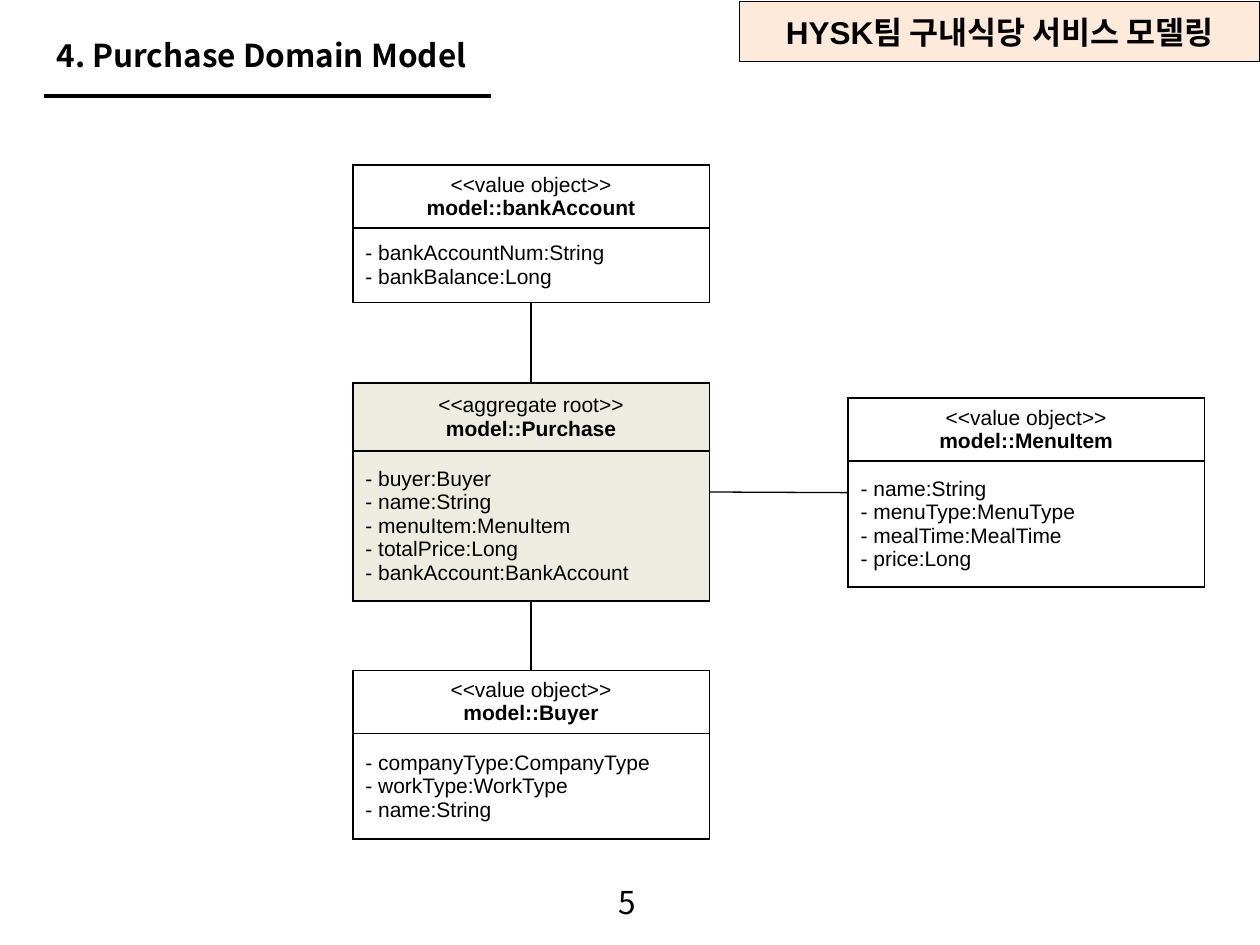
from lxml import etree
from pptx import Presentation
from pptx.dml.color import RGBColor
from pptx.enum import shapes, text
from pptx.oxml.ns import qn
from pptx.util import Inches, Pt

COLORS = {"ink": "000000", "root": "EEECE1", "banner": "FDEADA"}
SANS, KOREAN = "Arial", "Noto Sans CJK KR"
CENTER, LEFT = text.PP_ALIGN.CENTER, text.PP_ALIGN.LEFT

BANNER = "HYSK팀 구내식당 서비스 모델링"
TITLE = "4. Purchase Domain Model"
PAGE_NUMBER = "5"

CLASS_WIDTH = 2.83
# left, top, header height, body height, stereotype, fill, fields
CLASSES = {
    "Purchase": (2.8, 3.04, 0.54, 1.19, "aggregate root", "root",
                 ["buyer:Buyer", "name:String", "menuItem:MenuItem",
                  "totalPrice:Long", "bankAccount:BankAccount"]),
    "bankAccount": (2.8, 1.31, 0.5, 0.59, "value object", None,
                    ["bankAccountNum:String", "bankBalance:Long"]),
    "Buyer": (2.8, 5.32, 0.5, 0.84, "value object", None,
              ["companyType:CompanyType", "workType:WorkType", "name:String"]),
    "MenuItem": (6.73, 3.16, 0.5, 1.0, "value object", None,
                 ["name:String", "menuType:MenuType", "mealTime:MealTime",
                  "price:Long"]),
}
LINKS = [("bankAccount", "bottom", "Purchase", "top"),
         ("Purchase", "bottom", "Buyer", "top"),
         ("Purchase", "right", "MenuItem", "left")]


def rgb(name):
    return RGBColor.from_string(COLORS[name])


def write(frame, lines, align, size, font=SANS):
    """Fill a text frame with (words, bold) lines, one per paragraph."""
    frame.word_wrap = True
    for index, (words, bold) in enumerate(lines):
        para = frame.paragraphs[0] if index == 0 else frame.add_paragraph()
        para.alignment = align
        span = para.add_run()
        span.text = words
        for key, value in {"size": Pt(size), "bold": bold, "name": font}.items():
            setattr(span.font, key, value)
        span.font.color.rgb = rgb("ink")
        etree.SubElement(span.font._element, qn("a:ea"), typeface=KOREAN)


def add_label(page, area, words, bold, align):
    box = page.shapes.add_textbox(*map(Inches, area))
    write(box.text_frame, [(words, bold)], align, 18, KOREAN)


def add_line(page, start, end, width):
    line = page.shapes.add_connector(shapes.MSO_CONNECTOR.STRAIGHT,
                                     *map(Inches, start + end))
    line.line.color.rgb = rgb("ink")
    line.line.width = Pt(width)
    etree.SubElement(line._element.spPr, qn("a:effectLst"))


def add_borders(cell, width):
    properties = cell._tc.get_or_add_tcPr()
    for side in ("lnL", "lnR", "lnT", "lnB"):
        edge = etree.SubElement(properties, qn(f"a:{side}"), w=str(Pt(width)))
        fill = etree.SubElement(edge, qn("a:solidFill"))
        etree.SubElement(fill, qn("a:srgbClr"), val=COLORS["ink"])


def add_class(page, name):
    left, top, header, body, stereotype, fill, fields = CLASSES[name]
    table = page.shapes.add_table(2, 1, *map(
        Inches, (left, top, CLASS_WIDTH, header + body))).table
    table.first_row = table.horz_banding = False
    parts = [(header, CENTER, [(f"<<{stereotype}>>", False),
                               (f"model::{name}", True)]),
             (body, LEFT, [(f"- {field}", False) for field in fields])]
    for row, (height, align, lines) in enumerate(parts):
        table.rows[row].height = Inches(height)
        cell = table.cell(row, 0)
        cell.vertical_anchor = text.MSO_ANCHOR.MIDDLE
        write(cell.text_frame, lines, align, 12)
        add_borders(cell, 1)
        if fill:
            cell.fill.solid()
            cell.fill.fore_color.rgb = rgb(fill)
        else:
            cell.fill.background()


def side_middle(name, side):
    left, top, header, body = CLASSES[name][:4]
    height = header + body
    across, down = {"top": (0.5, 0), "bottom": (0.5, 1),
                    "left": (0, 0.5), "right": (1, 0.5)}[side]
    return left + CLASS_WIDTH * across, top + height * down


def main():
    deck = Presentation()
    deck.slide_width, deck.slide_height = Inches(10), Inches(7.5)
    page = deck.slides.add_slide(deck.slide_layouts[6])

    banner = page.shapes.add_shape(shapes.MSO_SHAPE.RECTANGLE,
                                   *map(Inches, (5.87, 0.01, 4.13, 0.48)))
    banner.shadow.inherit = False
    banner.fill.solid()
    banner.fill.fore_color.rgb = rgb("banner")
    banner.line.color.rgb = rgb("ink")
    banner.line.width = Pt(0.75)
    banner.text_frame.vertical_anchor = text.MSO_ANCHOR.MIDDLE
    write(banner.text_frame, [(BANNER, True)], CENTER, 18)

    add_label(page, (3.81, 6.96, 2.33, 0.4), PAGE_NUMBER, False, CENTER)
    add_label(page, (0.35, 0.24, 3.62, 0.4), TITLE, True, LEFT)
    add_line(page, (0.35, 0.76), (3.9, 0.76), 2.25)

    for name in CLASSES:
        add_class(page, name)
    for source, source_side, target, target_side in LINKS:
        add_line(page, side_middle(source, source_side),
                 side_middle(target, target_side), 0.75)
    deck.save("out.pptx")


if __name__ == "__main__":
    main()
